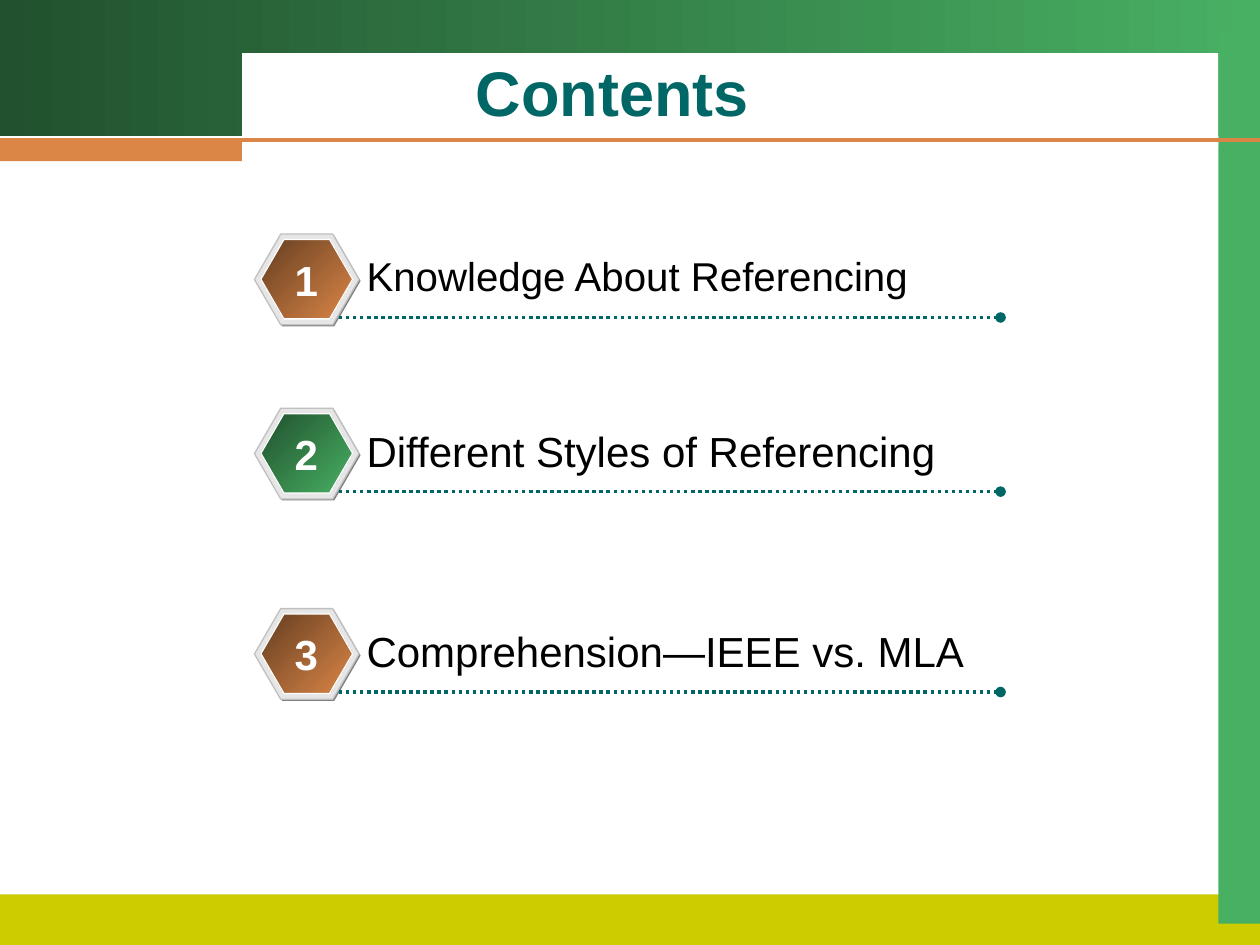
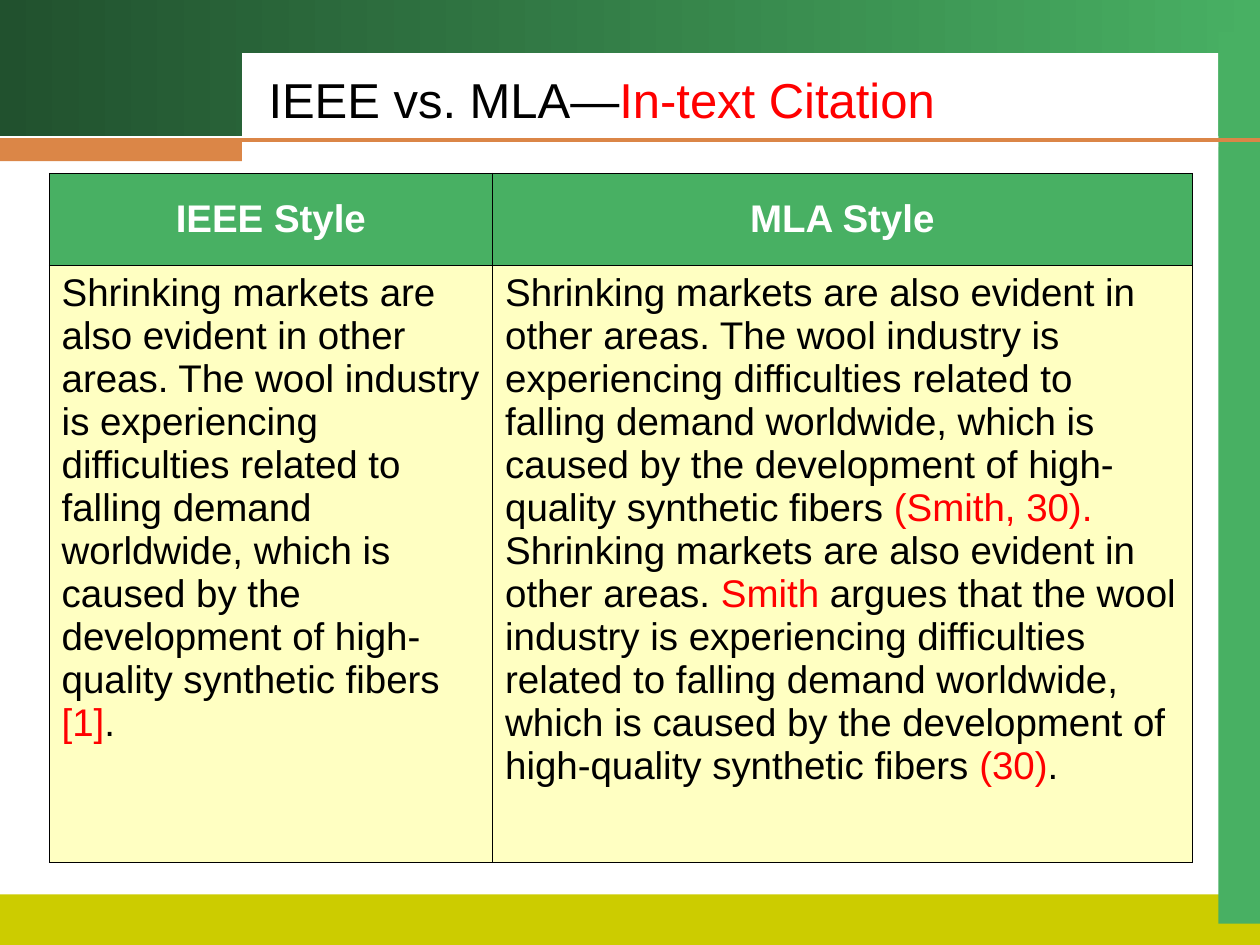
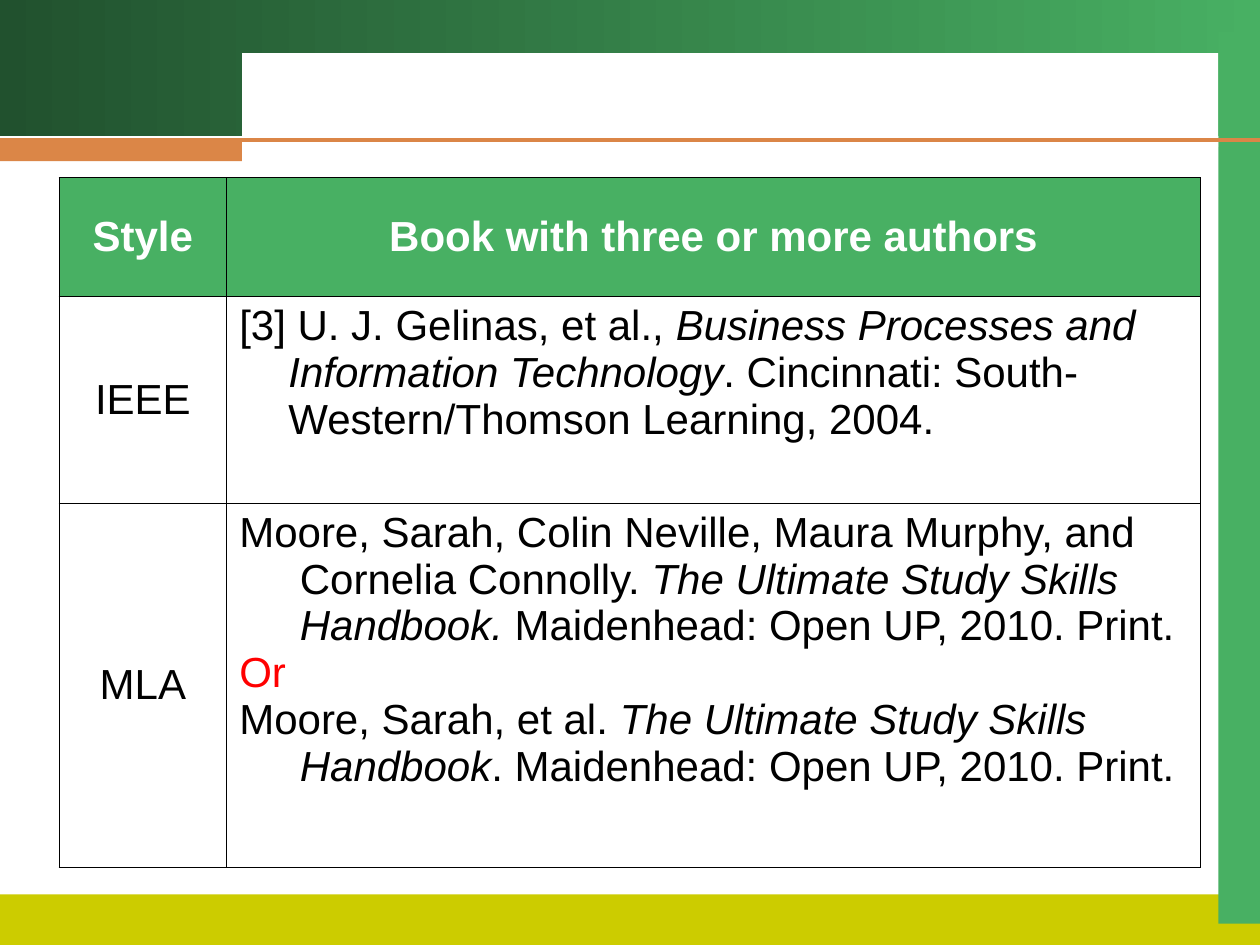
from lxml.etree import SubElement
from pptx import Presentation
from pptx.dml.color import RGBColor
from pptx.enum.dml import MSO_LINE
from pptx.enum.shapes import MSO_CONNECTOR, MSO_SHAPE
from pptx.enum.text import MSO_ANCHOR, MSO_AUTO_SIZE, PP_ALIGN
from pptx.oxml import parse_xml
from pptx.oxml.ns import nsdecls, qn
from pptx.util import Cm, Pt

COLORS = {
    "dark_green": "21512E",
    "green": "48B063",
    "brown": "653E21",
    "orange": "DB8647",
    "olive": "CCCC00",
    "teal": "006666",
    "cream": "FFFFC2",
    "red": "FF0000",
    "black": "000000",
    "white": "FFFFFF",
    "shade": "808080",
    "rim": "E6E6E6",
    "rim_edge": "C0C0C0",
}
FONT = "Arial"
TITLE_ONLY, BLANK = 5, 6
MARKET_TEXT = "Shrinking markets are also evident in other areas. "
DEMAND_TEXT = (
    "is experiencing difficulties related to falling demand worldwide, which is caused "
    "by the development of high-quality synthetic fibers "
)
WOOL_TEXT = MARKET_TEXT + "The wool industry " + DEMAND_TEXT


def rgb(name):
    return RGBColor.from_string(COLORS[name])


def red(text):
    return text, {"color": "red"}


def italic(text):
    return text, {"italic": True}


class Deck:
    def __init__(self):
        self.presentation = Presentation()
        self.presentation.slide_width = Cm(25.4)
        self.presentation.slide_height = Cm(19.05)
        self.slide = None

    def add_slide(self, layout):
        self.slide = self.presentation.slides.add_slide(self.presentation.slide_layouts[layout])

    def add_master_bands(self):
        bands = [
            self.shape((0, 0, 25.4, 2.74), ("dark_green", "green"), angle=0),
            self.shape((0, 18.03, 25.4, 1.02), "olive"),
            self.shape((24.56, 0.64, 0.84, 17.98), "green"),
            self.shape((4.88, 1.07, 19.68, 1.9), "white"),
            self.line(0, 25.4, 2.82, "orange", 2.25),
            self.shape((0, 2.82, 4.88, 0.43), "orange"),
        ]
        master_tree = self.presentation.slide_master.shapes.element
        for index, band in enumerate(bands):
            band.element.xpath(".//p:cNvPr")[0].set("id", str(100 + index))
            master_tree.insert(2 + index, band.element)

    def add_runs(self, paragraph, runs, size, color="black", bold=False, align=PP_ALIGN.LEFT):
        paragraph.alignment = align
        for item in runs:
            text, style = (item, {}) if isinstance(item, str) else item
            run = paragraph.add_run()
            run.text = text
            run.font.name = FONT
            run.font.size = Pt(size)
            run.font.bold = bold
            run.font.italic = style.get("italic", False)
            run.font.color.rgb = rgb(style.get("color", color))

    def title(self, box, runs, size, wrap=True, **style):
        title = self.slide.shapes.title
        title.left, title.top, title.width, title.height = map(Cm, box)
        frame = title.text_frame
        frame.word_wrap = wrap
        frame.auto_size = MSO_AUTO_SIZE.NONE
        frame.vertical_anchor = MSO_ANCHOR.MIDDLE
        self.add_runs(frame.paragraphs[0], runs, size, **style)

    def text(self, box, text, size, wrap=True, **style):
        frame = self.slide.shapes.add_textbox(*map(Cm, box)).text_frame
        frame.word_wrap = wrap
        self.add_runs(frame.paragraphs[0], [text], size, **style)

    def shape(self, box, fill, line=None, kind=MSO_SHAPE.RECTANGLE, angle=315):
        shape = self.slide.shapes.add_shape(kind, *map(Cm, box))
        shape.shadow.inherit = False
        if isinstance(fill, tuple):
            shape.fill.gradient()
            shape.fill.gradient_angle = angle
            for stop, color in zip(shape.fill.gradient_stops, fill):
                stop.color.rgb = rgb(color)
        else:
            shape.fill.solid()
            shape.fill.fore_color.rgb = rgb(fill)
        if line:
            shape.line.color.rgb = rgb(line)
            shape.line.width = Pt(0.75)
        else:
            shape.line.fill.background()
        return shape

    def hexagon(self, box, fill, line=None):
        hexagon = self.shape(box, fill, line, MSO_SHAPE.HEXAGON)
        hexagon.adjustments[0] = 0.29

    def line(self, left, right, top, color, width, dotted=False):
        line = self.slide.shapes.add_connector(
            MSO_CONNECTOR.STRAIGHT, Cm(left), Cm(top), Cm(right), Cm(top)
        )
        line.line.color.rgb = rgb(color)
        line.line.width = Pt(width)
        properties = line.element.spPr
        if dotted:
            line.line.dash_style = MSO_LINE.ROUND_DOT
            SubElement(properties.find(qn("a:ln")), qn("a:tailEnd"), type="oval")
        SubElement(properties, qn("a:effectLst"))
        return line

    def contents_entry(self, number, top, label, size, gradient):
        self.hexagon((5.16, top + 0.03, 2.11, 1.83), "shade")
        self.hexagon((5.13, top, 2.11, 1.83), "rim", "rim_edge")
        self.hexagon((5.26, top + 0.11, 1.85, 1.6), gradient, "white")
        self.line(6.83, 20.17, top + 1.68, "teal", 2, dotted=True)
        self.text((7.14, top + 0.22, 13.3, 1.27), label, size)
        self.text((5.69, top + 0.28, 0.97, 1.27), str(number), 24, wrap=False,
                  color="white", bold=True, align=PP_ALIGN.CENTER)

    def cell(self, cell, paragraphs, size, fill, header, centered, indent):
        if fill:
            cell.fill.solid()
            cell.fill.fore_color.rgb = rgb(fill)
        else:
            cell.fill.background()
        properties = cell._tc.get_or_add_tcPr()
        for index, side in enumerate(("lnL", "lnR", "lnT", "lnB")):
            properties.insert(index, parse_xml(
                f'<a:{side} {nsdecls("a")} w="5715"><a:solidFill>'
                f'<a:srgbClr val="{COLORS["black"]}"/></a:solidFill></a:{side}>'
            ))
        cell.vertical_anchor = MSO_ANCHOR.MIDDLE if centered else MSO_ANCHOR.TOP
        frame = cell.text_frame
        for index, runs in enumerate(paragraphs):
            paragraph = frame.add_paragraph() if index else frame.paragraphs[0]
            if indent:
                paragraph_properties = paragraph._p.get_or_add_pPr()
                paragraph_properties.set("marL", str(Cm(indent)))
                paragraph_properties.set("indent", str(-Cm(indent)))
            self.add_runs(paragraph, runs, size, "white" if header else "black", header,
                          PP_ALIGN.CENTER if centered else PP_ALIGN.LEFT)

    def table(self, left, top, widths, heights, rows, size, body_fill=None,
              label_column=False, indents=None):
        table = self.slide.shapes.add_table(
            len(rows), len(widths), Cm(left), Cm(top), Cm(sum(widths)), Cm(sum(heights))
        ).table
        for column, width in zip(table.columns, widths):
            column.width = Cm(width)
        for row, height in zip(table.rows, heights):
            row.height = Cm(height)
        for row_index, row in enumerate(rows):
            for column_index, paragraphs in enumerate(row):
                header = row_index == 0
                centered = header or (label_column and column_index == 0)
                indent = indents[row_index] if indents and not centered else 0
                self.cell(table.cell(row_index, column_index), paragraphs, size,
                          "green" if header else body_fill, header, centered, indent)


def build_contents(deck):
    deck.add_slide(TITLE_ONLY)
    deck.add_master_bands()
    deck.title((7.34, 0.99, 10.01, 1.7), ["Contents"], 36,
               color="teal", bold=True, align=PP_ALIGN.CENTER)
    warm, cool = ("brown", "orange"), ("dark_green", "green")
    entries = [
        (4.72, "Knowledge About Referencing", 23, warm),
        (8.23, "Different Styles of Referencing", 24, cool),
        (12.27, "Comprehension—IEEE vs. MLA", 24, warm),
    ]
    for number, entry in enumerate(entries, 1):
        deck.contents_entry(number, *entry)


def build_citation_comparison(deck):
    deck.add_slide(TITLE_ONLY)
    deck.title((5.16, 1.27, 13.94, 1.45), ["IEEE vs. MLA—", red("In-text Citation")], 28, wrap=False)
    rows = [
        [[["IEEE Style"]], [["MLA Style"]]],
        [
            [[WOOL_TEXT, red("[1]"), "."]],
            [
                [WOOL_TEXT, red("(Smith, 30).")],
                [MARKET_TEXT, red("Smith"), " argues that the wool industry " + DEMAND_TEXT,
                 red("(30)"), "."],
            ],
        ],
    ]
    deck.table(0.99, 3.49, (8.94, 14.1), (1.85, 12.04), rows, 22, body_fill="cream")


def build_book_references(deck):
    deck.add_slide(BLANK)
    rows = [
        [[["Style"]], [["Book with three or more authors"]]],
        [
            [["IEEE"]],
            [["[3] U. J. Gelinas, et al., ",
              italic("Business Processes and Information Technology"),
              ". Cincinnati: South-Western/Thomson Learning, 2004."]],
        ],
        [
            [["MLA"]],
            [
                ["Moore, Sarah, Colin Neville, Maura Murphy, and Cornelia Connolly. ",
                 italic("The Ultimate Study Skills Handbook."),
                 " Maidenhead: Open UP, 2010. Print."],
                [red("Or")],
                ["Moore, Sarah, et al. ", italic("The Ultimate Study Skills Handbook"),
                 ". Maidenhead: Open UP, 2010. Print."],
            ],
        ],
    ]
    deck.table(1.19, 3.58, (3.38, 19.63), (2.39, 4.17, 7.34), rows, 24,
               label_column=True, indents=(0, 0.99, 1.22))


def main():
    deck = Deck()
    build_contents(deck)
    build_citation_comparison(deck)
    build_book_references(deck)
    deck.presentation.save("out.pptx")


if __name__ == "__main__":
    main()
